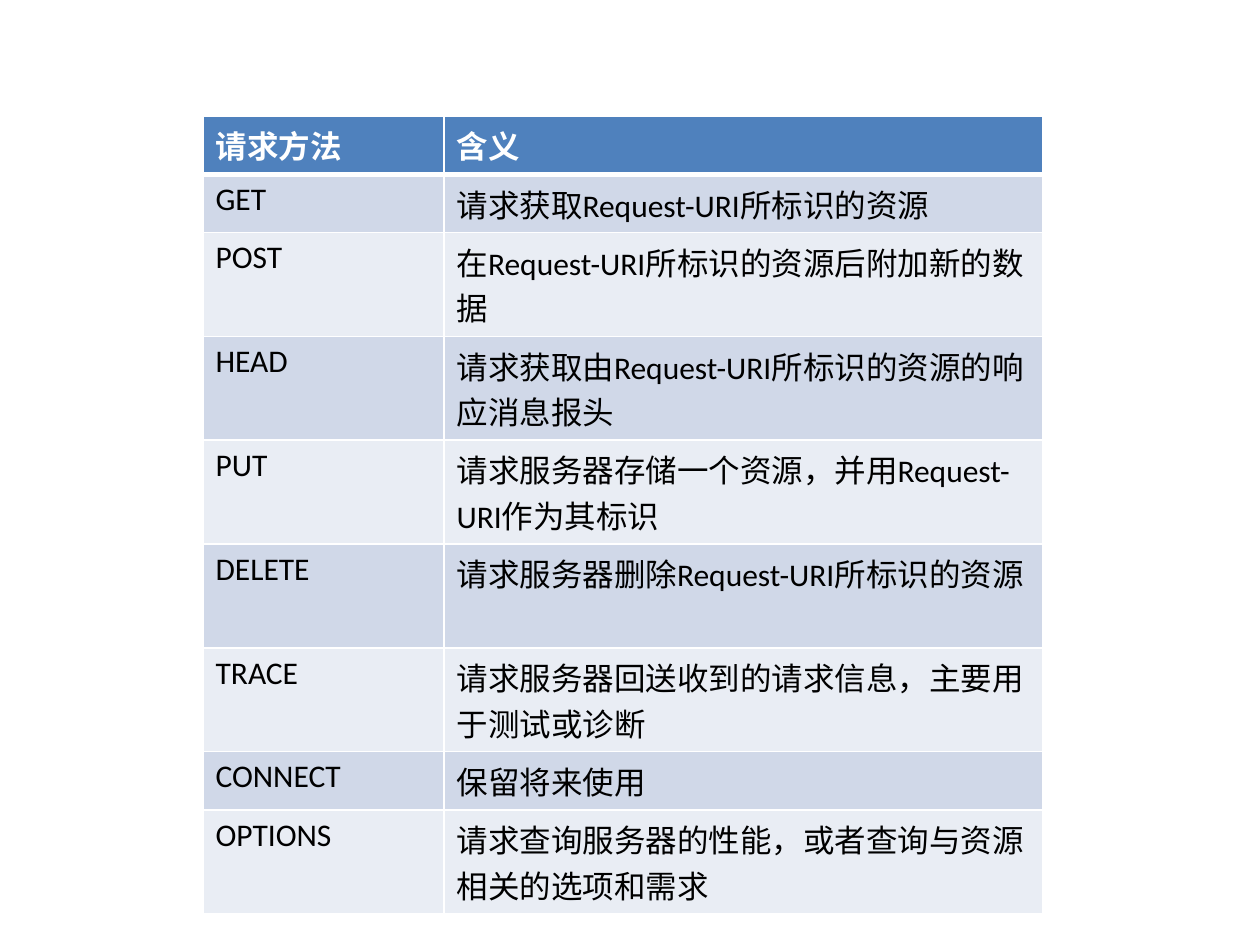
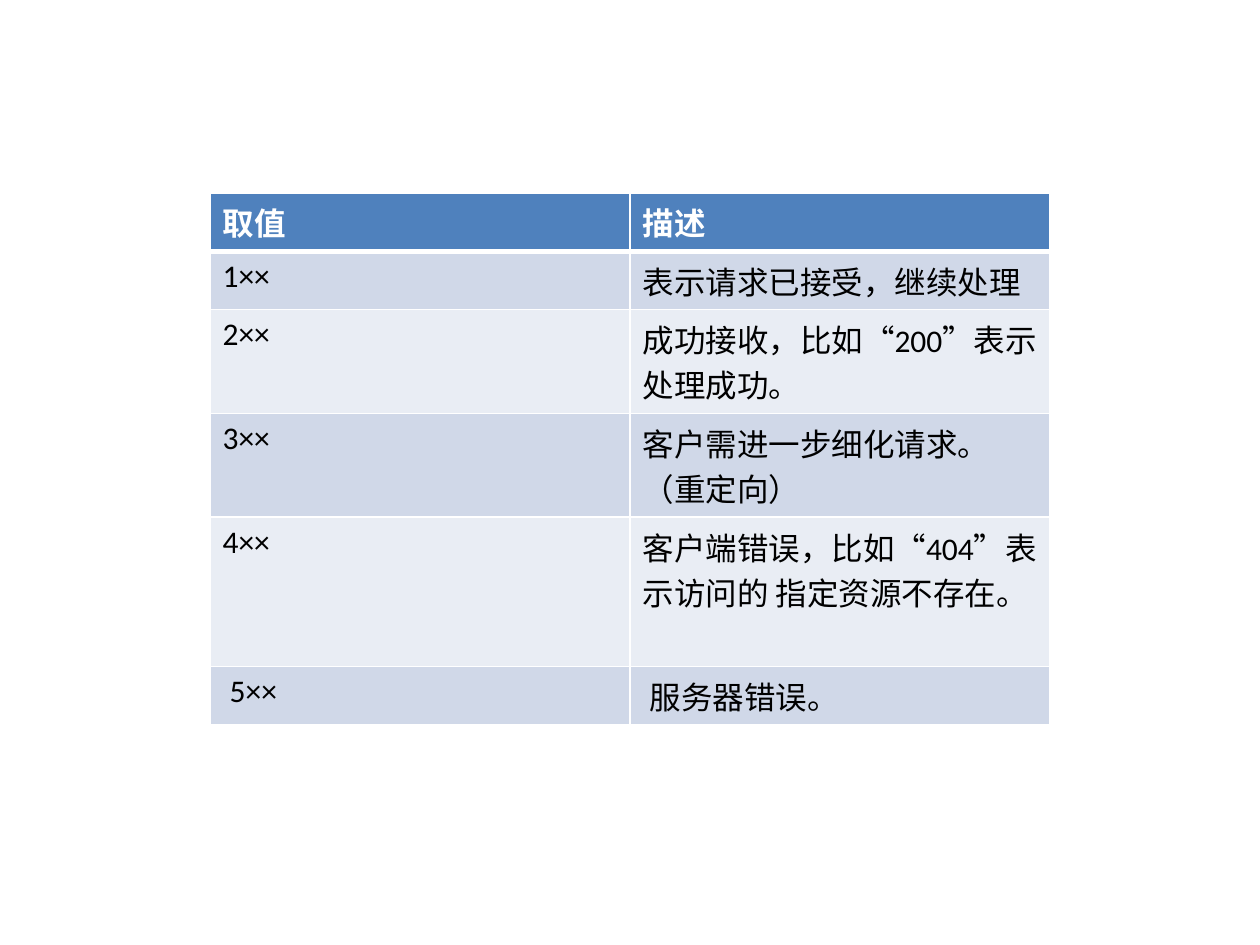
from lxml.etree import SubElement
from pptx import Presentation
from pptx.dml.color import RGBColor
from pptx.enum.lang import MSO_LANGUAGE_ID
from pptx.oxml.ns import qn
from pptx.util import Emu, Pt

# Content: one table per slide, header row first
TABLES = [
    {
        "corner": (203, 116),
        "columns": (241, 599),
        "rows": [
            ("请求方法", "含义"),
            ("GET", "请求获取Request-URI所标识的资源"),
            ("POST", "在Request-URI所标识的资源后附加新的数据"),
            ("HEAD", "请求获取由Request-URI所标识的资源的响应消息报头"),
            ("PUT", "请求服务器存储一个资源，并用Request-URI作为其标识"),
            ("DELETE", "请求服务器删除Request-URI所标识的资源"),
            ("TRACE", "请求服务器回送收到的请求信息，主要用于测试或诊断"),
            ("CONNECT", "保留将来使用"),
            ("OPTIONS", "请求查询服务器的性能，或者查询与资源相关的选项和需求"),
        ],
    },
    {
        "corner": (210, 193),
        "columns": (420, 420),
        "rows": [
            ("取值", "描述"),
            ("1××", "表示请求已接受，继续处理"),
            ("2××", "成功接收，比如“200”表示处理成功。"),
            ("3××", "客户需进一步细化请求。（重定向）"),
            ("4××", "客户端错误，比如“404”表示访问的 指定资源不存在。"),
            (" 5××", " 服务器错误。"),
        ],
    },
]

# Shared look
COLORS = {
    "header": "4F81BD",
    "odd": "D0D8E8",
    "even": "E9EDF4",
    "rule": "FFFFFF",
    "header_text": "FFFFFF",
    "body_text": "000000",
}
FONT, TEXT_SIZE = "Calibri", 18
THIN_RULE, HEADER_RULE = 1, 3
SLIDE_WIDTH, SLIDE_HEIGHT, ROW_HEIGHT = 1260, 945, 52
PX_PER_INCH = 126


def px(length):
    return Emu(round(length * 914400 / PX_PER_INCH))


def color(name):
    return RGBColor.from_string(COLORS[name])


def add_borders(cell, row_index):
    """White rules on every side, thicker between header and body."""
    widths = {
        "lnL": THIN_RULE,
        "lnR": THIN_RULE,
        "lnT": HEADER_RULE if row_index == 1 else THIN_RULE,
        "lnB": HEADER_RULE if row_index == 0 else THIN_RULE,
    }
    properties = cell._tc.get_or_add_tcPr()
    for side, width in widths.items():
        line = SubElement(properties, qn(f"a:{side}"), w=str(Pt(width)))
        fill = SubElement(line, qn("a:solidFill"))
        SubElement(fill, qn("a:srgbClr"), val=COLORS["rule"])


def fill_cell(cell, text, row_index):
    is_header = row_index == 0
    add_borders(cell, row_index)
    band = "header" if is_header else ("even", "odd")[row_index % 2]
    cell.fill.solid()
    cell.fill.fore_color.rgb = color(band)

    span = cell.text_frame.paragraphs[0].add_run()
    span.text = text
    span.font.name = FONT
    span.font.size = Pt(TEXT_SIZE)
    span.font.bold = is_header
    span.font.language_id = MSO_LANGUAGE_ID.SIMPLIFIED_CHINESE
    span.font.color.rgb = color("header_text" if is_header else "body_text")


def add_banded_table(page, corner, columns, rows):
    left, top = corner
    table = page.shapes.add_table(
        len(rows), len(columns), px(left), px(top),
        px(sum(columns)), px(ROW_HEIGHT * len(rows)),
    ).table
    for column, width in zip(table.columns, columns):
        column.width = px(width)
    for row_index, texts in enumerate(rows):
        table.rows[row_index].height = px(ROW_HEIGHT)
        for column_index, text in enumerate(texts):
            fill_cell(table.cell(row_index, column_index), text, row_index)


def main():
    deck = Presentation()
    deck.slide_width, deck.slide_height = px(SLIDE_WIDTH), px(SLIDE_HEIGHT)
    for content in TABLES:
        page = deck.slides.add_slide(deck.slide_layouts[6])
        add_banded_table(page, **content)
    deck.save("out.pptx")


if __name__ == "__main__":
    main()
